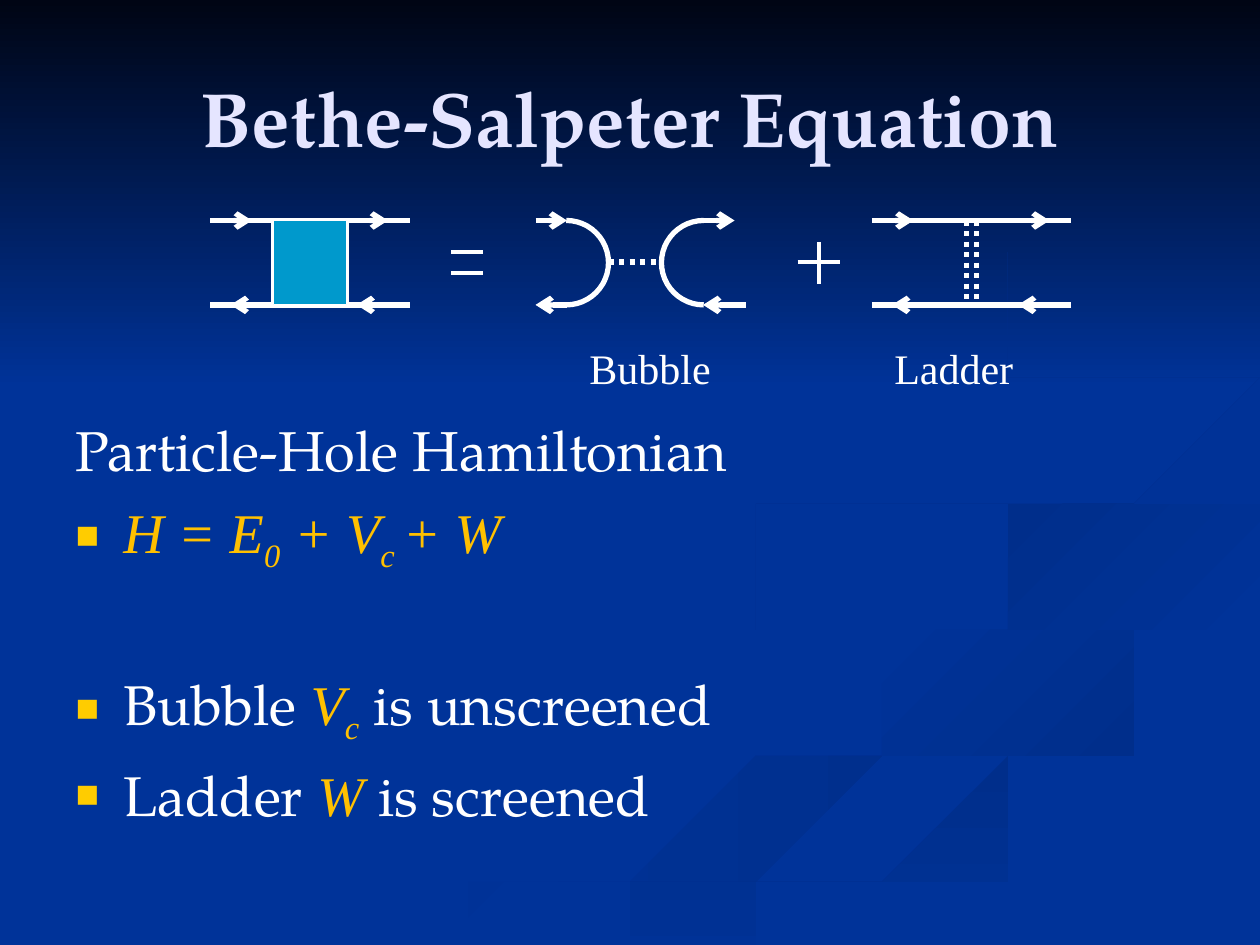
from lxml import etree
from pptx import Presentation
from pptx.dml.color import RGBColor
from pptx.enum import dml, shapes, text
from pptx.oxml.ns import qn
from pptx.util import Inches, Pt

SERIF, TIMES = "TeX Gyre Pagella", "Times New Roman"
WHITE, GOLD, NAVY, SHADE = "FFFFFF", "FFC000", "003399", "002E8B"
TOP, LOW, MID = 1.75, 2.42, 2.08

TITLE = "Bethe-Salpeter Equation"
BODY = [
    (0, False, [("Particle-Hole Hamiltonian", "")]),
    (8, True, [("H = E", "v"), ("0", "s"), (" + V", "v"), ("c ", "s"), ("+ W", "v")]),
    (55, True, [("Bubble ", ""), ("V", "v"), ("c", "s"), (" is unscreened", "")]),
    (8, True, [("Ladder ", ""), ("W", "v"), (" is screened", "")]),
]
LABELS = [("Bubble", 4.58, 1.25), ("Ladder", 7, 1.67)]

RAILS = [
    (0, TOP, 0.33, True), (0.25, TOP, 1.58, False), (0.66, LOW, 0.16, True),
    (0.83, TOP, 1.41, True), (0, LOW, 1.41, False), (1.58, LOW, 1.16, True),
]
STUBS = [(4.5, 4.25, LOW), (4.25, 4.5, TOP), (5.58, 5.83, TOP), (5.92, 5.58, LOW)]

WAVES = [
    (NAVY, SHADE, 0, [
        (7.8, 5.5), (6.8, 5.2), (6, 4.9), (5.75, 4.6), (5.8, 4.8), (6.8, 5.2),
        (7.8, 5.55), (7.7, 5.87), (5.8, 6.4), (3, 7.49), (3.6, 7.49),
        (5.3, 6.75), (7.6, 6.13), (8, 5.8)]),
    (NAVY, SHADE, 45, [
        (9.43, 5.7), (8.9, 5.35), (7.6, 5), (7.24, 4.64), (7.46, 5),
        (8.4, 5.36), (9.15, 5.7), (8.94, 6.05), (9.35, 5.9)]),
    (SHADE, NAVY, 90, [
        (5.03, 7.49), (5.7, 7.49), (7.5, 6.7), (9.98, 6.09), (9.98, 5.81),
        (7.64, 6.47), (6.3, 6.93)]),
    (SHADE, NAVY, 45, [
        (7.81, 4.6), (8.26, 4.96), (8.05, 4.72), (8.6, 4.43), (9.98, 4.2),
        (9.98, 4.02), (8.5, 4.27)]),
    (SHADE, NAVY, 45, [
        (6.95, 4.33), (8.7, 4.06), (9.6, 3.5), (9.1, 2.93), (7.95, 2.45),
        (9.1, 2.95), (9.54, 3.4), (8.8, 3.87), (6.2, 4.3), (5.61, 4.64),
        (6.18, 5), (5.83, 4.7)]),
]


def tint(code):
    return RGBColor.from_string(code)


def paint(shape, code):
    shape.fill.solid()
    shape.fill.fore_color.rgb = tint(code)


def ink(shape, width):
    shape.line.color.rgb, shape.line.width = tint(WHITE), Pt(width)


def fade(shape, first, last, angle):
    shape.shadow.inherit = False
    shape.line.fill.background()
    shape.fill.gradient()
    shape.fill.gradient_angle = (360 - angle) % 360
    for stop, code, spot in zip(shape.fill.gradient_stops, (first, last), (0, 1)):
        stop.color.rgb, stop.position = tint(code), spot


def curve(points, steps=6):
    count = len(points)
    for i in range(count):
        a, b, c, d = (points[(i + k) % count] for k in (-1, 0, 1, 2))
        for t in (step / steps for step in range(steps)):
            yield tuple(
                q + t * ((r - p) + t * (2 * p - 5 * q + 4 * r - s
                                        + t * (3 * q - p - 3 * r + s))) / 2
                for p, q, r, s in zip(a, b, c, d))


def style(run, size, face, code):
    run.font.size, run.font.name = Pt(size), face
    run.font.color.rgb = tint(code)


def place(shape, left, top, width, height):
    shape.left, shape.top = Inches(left), Inches(top)
    shape.width, shape.height = Inches(width), Inches(height)


def stroke(pool, x1, y1, x2, y2, width=3, arrow=False, dots=False):
    line = pool.add_connector(
        shapes.MSO_CONNECTOR.STRAIGHT, *map(Inches, (x1, y1, x2, y2)))
    ink(line, width)
    if dots:
        line.line.dash_style = dml.MSO_LINE.ROUND_DOT
    if arrow:
        etree.SubElement(line._element.spPr.find(qn("a:ln")), qn("a:tailEnd"), type="arrow")
    etree.SubElement(line._element.spPr, qn("a:effectLst"))


def mark(para, bullet):
    props = para._p.get_or_add_pPr()
    props.set("marL", str(Inches(0.38)))
    props.set("indent", str(Inches(-0.38)))
    if not bullet:
        etree.SubElement(props, qn("a:buNone"))
        return
    hue = etree.SubElement(props, qn("a:buClr"))
    etree.SubElement(hue, qn("a:srgbClr"), val="FFCC00")
    etree.SubElement(props, qn("a:buSzPct"), val="70000")
    etree.SubElement(props, qn("a:buChar"), char="■")


def backdrop(slide):
    paint(slide.background, NAVY)
    sky = slide.shapes.add_shape(
        shapes.MSO_SHAPE.RECTANGLE, 0, 0, Inches(10), Inches(3.08))
    fade(sky, "000514", NAVY, 90)
    for first, last, angle, points in WAVES:
        start, *rest = curve(points)
        pen = slide.shapes.build_freeform(*start, scale=Inches(1))
        pen.add_line_segments(rest, close=True)
        fade(pen.convert_to_shape(), first, last, angle)


def words(slide):
    title, body = slide.shapes.title, slide.placeholders[1]
    for holder in (title, body):
        slide.shapes._spTree.append(holder._element)
    place(title, 0.5, 0.3, 9, 1.25)
    place(body, 0.5, 3.25, 9, 3.75)
    title.text_frame.text = TITLE
    title.text_frame.vertical_anchor = text.MSO_ANCHOR.MIDDLE
    head = title.text_frame.paragraphs[0]
    head.alignment = text.PP_ALIGN.CENTER
    style(head.runs[0], 44, SERIF, "E5E5FF")
    head.runs[0].font.bold = True
    frame = body.text_frame
    frame.auto_size = text.MSO_AUTO_SIZE.NONE
    for i, (gap, bullet, parts) in enumerate(BODY):
        para = frame.add_paragraph() if i else frame.paragraphs[0]
        mark(para, bullet)
        para.space_before = Pt(gap)
        for part, kind in parts:
            run = para.add_run()
            run.text = part
            style(run, 32, TIMES if kind else SERIF, GOLD if kind else WHITE)
            run.font.italic = bool(kind)
            if kind == "s":
                run.font._element.set("baseline", "-25000")


def diagrams(slide):
    for left, posts, dots in ((1.67, (2.17, 2.75), False), (6.92, (7.67, 7.75), True)):
        pool = slide.shapes.add_group_shape().shapes
        for start, y, end, arrow in RAILS:
            stroke(pool, left + start, y, left + end, y, arrow=arrow)
        for x in posts:
            stroke(pool, x, TOP, x, LOW, dots=dots)
    pool = slide.shapes.add_group_shape().shapes
    for left, start, end in ((4.16, 270, 90), (5.25, 90, 270)):
        arc = pool.add_shape(shapes.MSO_SHAPE.ARC, 0, 0, 1, 1)
        place(arc, left, TOP, 0.67, 0.67)
        arc.adjustments[0], arc.adjustments[1] = start * 0.6, end * 0.6
        arc.shadow.inherit = False
        arc.fill.background()
        ink(arc, 3)
    for start, end, y in STUBS:
        stroke(pool, start, y, end, y, arrow=True)
    stroke(pool, 4.83, MID, 5.25, MID, dots=True)
    for y in (2, 2.17):
        stroke(slide.shapes, 3.58, y, 3.83, y, 2.25)
    stroke(slide.shapes, 6.33, MID, 6.67, MID, 2.25)
    stroke(slide.shapes, 6.5, 1.92, 6.5, 2.25, 2.25)
    box = slide.shapes.add_shape(shapes.MSO_SHAPE.RECTANGLE, 0, 0, 1, 1)
    place(box, 2.17, TOP, 0.58, 0.67)
    box.shadow.inherit = False
    paint(box, "0099CC")
    ink(box, 0.75)
    for label, left, width in LABELS:
        note = slide.shapes.add_textbox(0, 0, 1, 1)
        place(note, left, 2.67, width, 0.5)
        note.text_frame.word_wrap = True
        note.text_frame.text = label
        style(note.text_frame.paragraphs[0].runs[0], 24, TIMES, WHITE)


def main():
    deck = Presentation()
    deck.slide_width, deck.slide_height = Inches(10), Inches(7.5)
    slide = deck.slides.add_slide(deck.slide_layouts[1])
    backdrop(slide)
    words(slide)
    diagrams(slide)
    deck.save("out.pptx")


if __name__ == "__main__":
    main()
